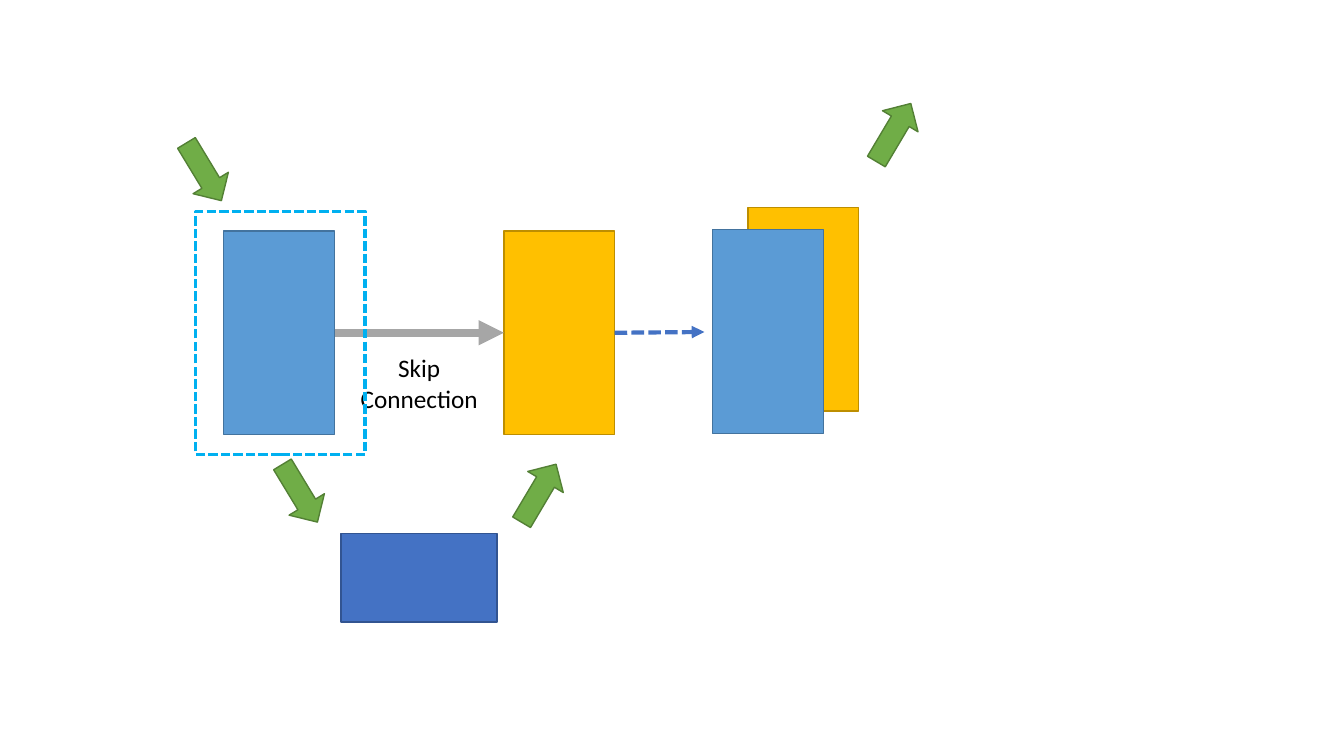
from collections import namedtuple
from lxml.etree import SubElement
from pptx import Presentation
from pptx.dml.color import RGBColor
from pptx.enum.dml import MSO_LINE
from pptx.enum.shapes import MSO_CONNECTOR, MSO_SHAPE
from pptx.enum.text import MSO_AUTO_SIZE, PP_ALIGN
from pptx.oxml.ns import qn
from pptx.util import Cm, Pt

BLUE, BLUE_EDGE = RGBColor(0x5B, 0x9B, 0xD5), RGBColor(0x43, 0x73, 0x9E)
GOLD, GOLD_EDGE = RGBColor(0xFF, 0xC0, 0x00), RGBColor(0xBD, 0x8E, 0x00)
NAVY, NAVY_EDGE = RGBColor(0x44, 0x72, 0xC4), RGBColor(0x32, 0x54, 0x91)
GREEN, GREEN_EDGE = RGBColor(0x70, 0xAD, 0x47), RGBColor(0x53, 0x80, 0x35)
GRAY = RGBColor(0xA6, 0xA6, 0xA6)
CYAN = RGBColor(0x00, 0xB0, 0xF0)
BLACK = RGBColor(0x00, 0x00, 0x00)

Box = namedtuple("Box", "left top width height")
BLOCK_WIDTH, BLOCK_HEIGHT = 2.79, 5.13
ARROW_WIDTH, ARROW_HEIGHT = 1.7, 1.04
DOWN, UP = 58.8, 300.7


def apply_format(target, values):
    for name, value in values.items():
        setattr(target, name, value)


def add_block(slide, box, fill, edge, kind=MSO_SHAPE.RECTANGLE):
    shape = slide.shapes.add_shape(kind, *(Cm(length) for length in box))
    shape.shadow.inherit = False
    shape.fill.solid()
    shape.fill.fore_color.rgb = fill
    shape.line.color.rgb = edge
    shape.line.width = Pt(1)
    return shape


def add_flow_arrow(slide, left, top, rotation):
    box = Box(left, top, ARROW_WIDTH, ARROW_HEIGHT)
    arrow = add_block(slide, box, GREEN, GREEN_EDGE, MSO_SHAPE.RIGHT_ARROW)
    arrow.rotation = rotation


def add_link(slide, start, end, color, line_format):
    points = (Cm(length) for length in (*start, *end))
    connector = slide.shapes.add_connector(MSO_CONNECTOR.STRAIGHT, *points)
    connector.line.color.rgb = color
    apply_format(connector.line, line_format)
    SubElement(connector.line._get_or_add_ln(), qn("a:tailEnd"), type="triangle")
    SubElement(connector._element.spPr, qn("a:effectLst"))


def draw_merged(slide, box):
    back = Box(box.left + 0.89, box.top, BLOCK_WIDTH, BLOCK_HEIGHT)
    front = Box(box.left, box.top + 0.56, BLOCK_WIDTH, BLOCK_HEIGHT)
    add_block(slide, back, GOLD, GOLD_EDGE)
    add_block(slide, front, BLUE, BLUE_EDGE)
    add_flow_arrow(slide, box.left + 3.71, box.top - 2.41, UP)


def draw_encoder(slide, box):
    add_block(slide, box, BLUE, BLUE_EDGE)
    add_flow_arrow(slide, box.left - 1.35, box.top - 2.01, DOWN)


def draw_decoder(slide, box):
    add_block(slide, box, GOLD, GOLD_EDGE)
    middle = box.top + box.height / 2
    right = box.left + box.width
    add_link(slide, (right, middle), (right + 2.26, middle - 0.02), NAVY,
             {"width": Pt(3), "dash_style": MSO_LINE.SQUARE_DOT})


def draw_bottleneck(slide, box):
    add_block(slide, box, NAVY, NAVY_EDGE)
    add_flow_arrow(slide, box.left - 1.88, box.top - 1.53, DOWN)
    add_flow_arrow(slide, box.left + 4.14, box.top - 1.53, UP)


def draw_skip_connection(slide, box):
    add_link(slide, (box.left, box.top), (box.left + box.width, box.top),
             GRAY, {"width": Pt(6)})
    label = slide.shapes.add_textbox(Cm(box.left + 0.38), Cm(box.top + 0.38),
                                     Cm(3.51), Cm(1.8))
    frame = label.text_frame
    apply_format(frame, {"word_wrap": False,
                         "auto_size": MSO_AUTO_SIZE.SHAPE_TO_FIT_TEXT,
                         "text": "Skip\nConnection"})
    for paragraph in frame.paragraphs:
        paragraph.alignment = PP_ALIGN.CENTER
        font = paragraph.runs[0].font
        apply_format(font, {"name": "Calibri", "size": Pt(18)})
        font.color.rgb = BLACK


def draw_highlight(slide, box):
    outline = add_block(slide, box, CYAN, CYAN)
    outline.fill.background()
    apply_format(outline.line, {"width": Pt(2.25),
                                "dash_style": MSO_LINE.SQUARE_DOT})


def main():
    presentation = Presentation()
    apply_format(presentation, {"slide_width": Cm(33.87), "slide_height": Cm(19.05)})
    slide = presentation.slides.add_slide(presentation.slide_layouts[6])

    encoder = Box(5.64, 5.82, BLOCK_WIDTH, BLOCK_HEIGHT)
    decoder = encoder._replace(left=12.7)
    encoder_right = encoder.left + encoder.width
    skip = Box(encoder_right, encoder.top + encoder.height / 2,
               decoder.left - encoder_right, 2.18)

    draw_merged(slide, Box(17.96, 5.23, 3.68, 5.69))
    draw_encoder(slide, encoder)
    draw_decoder(slide, decoder)
    draw_bottleneck(slide, Box(8.59, 13.44, 3.94, 2.24))
    draw_skip_connection(slide, skip)
    draw_highlight(slide, Box(4.93, 5.33, 4.27, 6.12))
    presentation.save("out.pptx")


if __name__ == "__main__":
    main()
